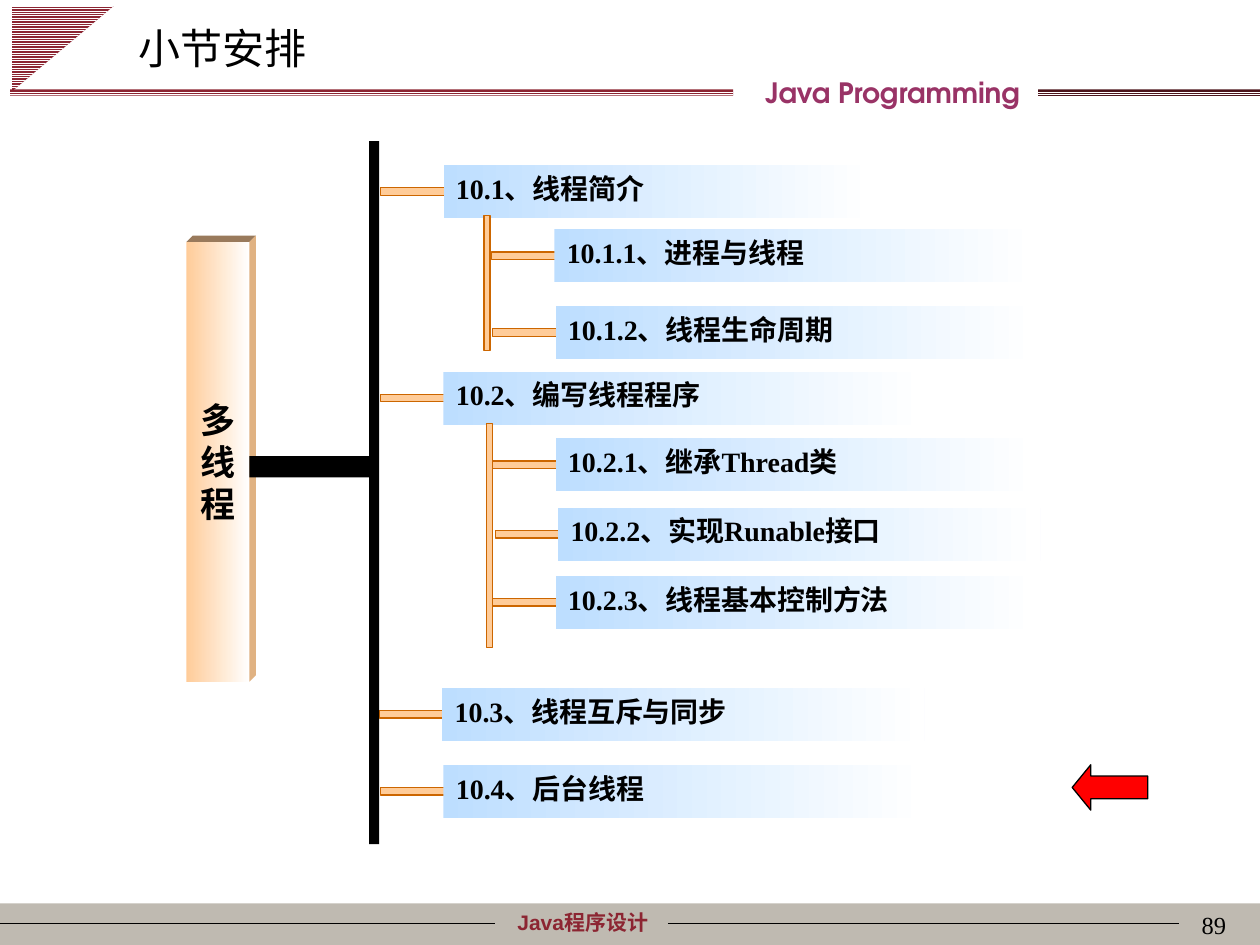
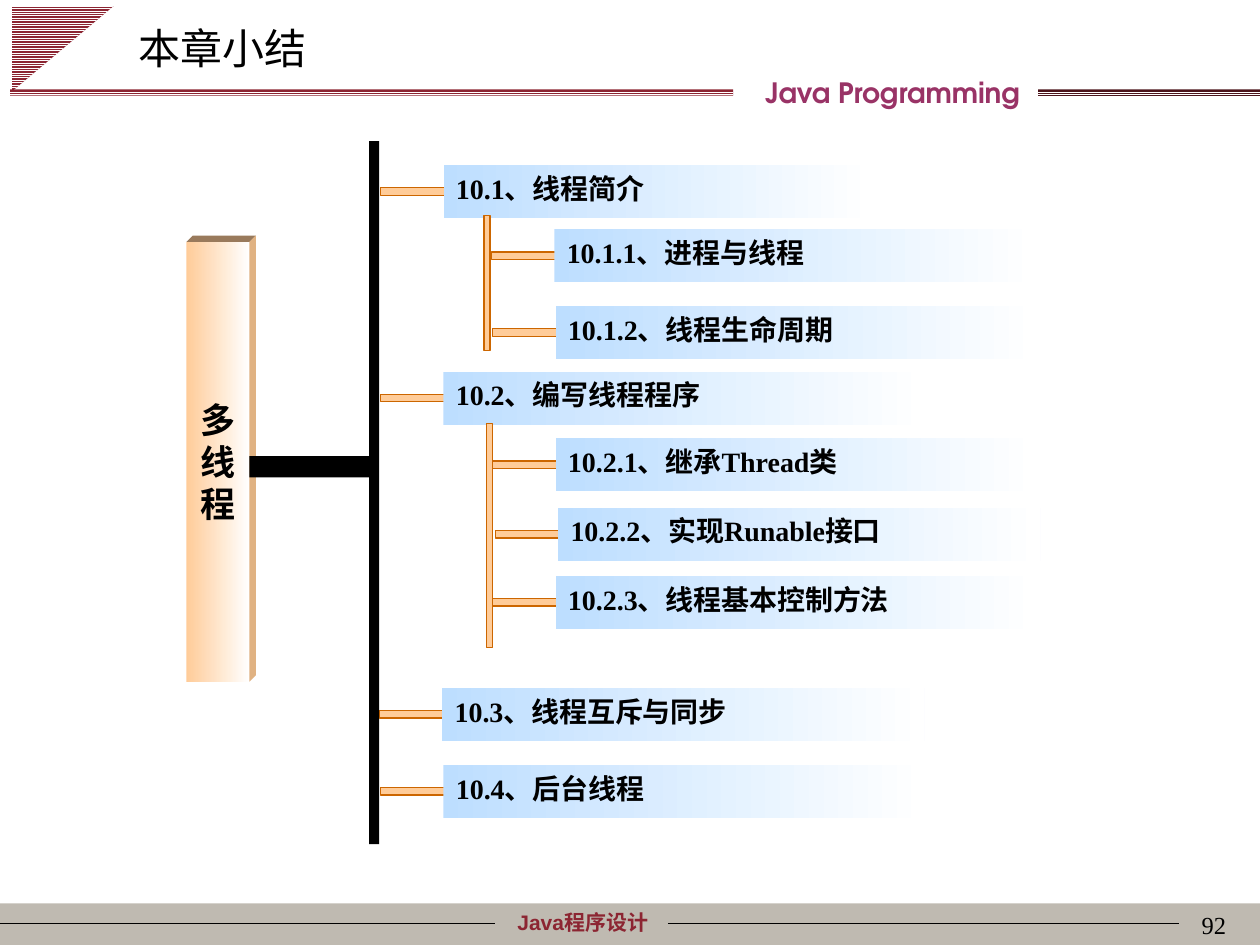
from dataclasses import dataclass

from lxml import etree
from pptx import Presentation
from pptx.dml.color import RGBColor
from pptx.enum.dml import MSO_PATTERN
from pptx.enum.shapes import MSO_CONNECTOR, MSO_SHAPE
from pptx.enum.text import MSO_ANCHOR, PP_ALIGN
from pptx.oxml.ns import qn
from pptx.util import Inches, Pt

RECTANGLE = MSO_SHAPE.RECTANGLE
RIGHT_TRIANGLE = MSO_SHAPE.RIGHT_TRIANGLE
LEFT_ARROW = MSO_SHAPE.LEFT_ARROW
STRAIGHT = MSO_CONNECTOR.STRAIGHT
STRIPES = MSO_PATTERN.LIGHT_HORIZONTAL
LEFT, CENTER, RIGHT, JUSTIFY = PP_ALIGN.LEFT, PP_ALIGN.CENTER, PP_ALIGN.RIGHT, PP_ALIGN.JUSTIFY
TOP, MIDDLE = MSO_ANCHOR.TOP, MSO_ANCHOR.MIDDLE

PAGE_WIDTH, PAGE_HEIGHT = Inches(10), Inches(7.5)
COLUMN, ROW = PAGE_WIDTH / 100, PAGE_HEIGHT / 75

BLACK, WHITE, RED = "000000", "FFFFFF", "FF0000"
MAROON, DARK_MAROON, PLUM, STONE = "8C2532", "4C141B", "993366", "BFBAB1"
PEACH, ORANGE, PEACH_TOP, PEACH_SIDE = "FFCC99", "CC6600", "997A5C", "E0B282"
SKY = "BDDEFF"
CJK_FONT, SERIF = "Noto Sans CJK SC", "Times New Roman"


@dataclass(frozen=True)
class Area:
    left: float
    top: float
    width: float
    height: float

    def frame(self) -> tuple[int, int, int, int]:
        return (round(self.left * COLUMN), round(self.top * ROW),
                round(self.width * COLUMN), round(self.height * ROW))


@dataclass(frozen=True)
class TextStyle:
    size: float
    font: str = SERIF
    color: str = BLACK
    bold: bool = True
    align: PP_ALIGN = LEFT
    anchor: MSO_ANCHOR = TOP


@dataclass(frozen=True)
class Topic:
    left: float
    top: float
    text: str
    width: float = 38.3


@dataclass(frozen=True)
class Page:
    title: str
    number: str
    marked: bool = False


TITLE_STYLE = TextStyle(24, CJK_FONT, bold=False)
COURSE_STYLE = TextStyle(16, "TeX Gyre Adventor", PLUM, align=CENTER)
FOOTER_STYLE = TextStyle(12, "Arial", MAROON, align=CENTER)
NUMBER_STYLE = TextStyle(14, bold=False, align=RIGHT)
CHAPTER_STYLE = TextStyle(20, align=CENTER, anchor=MIDDLE)
TOPIC_STYLE = TextStyle(16, align=JUSTIFY)

PAGES = [Page("小节安排", "89", marked=True), Page("本章小结", "92")]

TOPICS = [
    Topic(35.2, 13.1, "10.1、线程简介", 34.1),
    Topic(44, 18.2, "10.1.1、进程与线程"),
    Topic(44.1, 24.3, "10.1.2、线程生命周期"),
    Topic(35.2, 29.5, "10.2、编写线程程序"),
    Topic(44.1, 34.8, "10.2.1、继承Thread类"),
    Topic(44.3, 40.3, "10.2.2、实现Runable接口"),
    Topic(44.1, 45.7, "10.2.3、线程基本控制方法"),
    Topic(35.1, 54.6, "10.3、线程互斥与同步"),
    Topic(35.2, 60.7, "10.4、后台线程"),
]
TOPIC_HEIGHT = 4.2
TICK_REACH, TICK_WIDTH, TICK_HEIGHT = 5, 5.1, 0.6
SUBTOPIC_STEMS = [Area(38.4, 17.1, 0.5, 10.7), Area(38.6, 33.6, 0.5, 17.8)]

CHAPTER = Area(14.8, 19.2, 5, 34.9)
CHAPTER_DEPTH = 0.5
TRUNK_BARS = [Area(19.8, 36.2, 10, 1.7), Area(29.3, 11.2, 0.8, 55.8)]
MARKER = Area(85.1, 60.7, 6, 3.6)
STRIPED_RULES = [(Area(82.4, 7.1, 17.6, 0.6), DARK_MAROON), (Area(0.8, 7.1, 57.4, 0.5), MAROON)]
FOOTER_LINES = [(0, 39.3), (53, 93.6)]
FOOTER_LINE_TOP = 73.3


def rgb(color: str) -> RGBColor:
    return RGBColor.from_string(color)


def write(shape, text: str, style: TextStyle) -> None:
    frame = shape.text_frame
    frame.word_wrap = True
    frame.vertical_anchor = style.anchor
    paragraph = frame.paragraphs[0]
    paragraph.text = text
    paragraph.alignment = style.align
    font = paragraph.font
    font.size, font.name, font.bold = Pt(style.size), style.font, style.bold
    font.color.rgb = rgb(style.color)
    properties = paragraph._p.get_or_add_pPr().find(qn("a:defRPr"))
    etree.SubElement(properties, qn("a:ea")).set("typeface", CJK_FONT)


def add_text(page, area: Area, text: str, style: TextStyle) -> None:
    write(page.shapes.add_textbox(*area.frame()), text, style)


def add_block(page, area: Area, kind: MSO_SHAPE = RECTANGLE,
              fill: str | None = None, line: str | None = None):
    block = page.shapes.add_shape(kind, *area.frame())
    finish(block, fill, line)
    return block


def finish(shape, fill: str | None, line: str | None = None) -> None:
    shape.shadow.inherit = False
    if fill:
        shape.fill.solid()
        shape.fill.fore_color.rgb = rgb(fill)
    if line:
        shape.line.color.rgb = rgb(line)
        shape.line.width = Pt(0.75)
    else:
        shape.line.fill.background()


def add_faded(page, area: Area, color: str):
    block = add_block(page, area)
    block.fill.gradient()
    block.fill.gradient_angle = 0
    for stop, shade, position in zip(block.fill.gradient_stops, (color, WHITE), (0, 1)):
        stop.color.rgb = rgb(shade)
        stop.position = position
    return block


def add_striped(page, area: Area, color: str, kind: MSO_SHAPE = RECTANGLE):
    block = add_block(page, area, kind)
    block.fill.patterned()
    block.fill.pattern = STRIPES
    block.fill.fore_color.rgb = rgb(WHITE)
    block.fill.back_color.rgb = rgb(color)
    return block


def add_face(page, corners: list[tuple[float, float]], color: str) -> None:
    points = [(round(x * COLUMN), round(y * ROW)) for x, y in corners]
    builder = page.shapes.build_freeform(*points[0])
    builder.add_line_segments(points[1:], close=True)
    finish(builder.convert_to_shape(), color)


def add_footer_line(page, start: float, end: float) -> None:
    top = round(FOOTER_LINE_TOP * ROW)
    line = page.shapes.add_connector(STRAIGHT, round(start * COLUMN), top, round(end * COLUMN), top)
    line.line.color.rgb = rgb(BLACK)
    line.line.width = Pt(0.75)
    etree.SubElement(line._element.spPr, qn("a:effectLst"))


def add_frame(page, content: Page) -> None:
    add_block(page, Area(0, 71.7, 100, 3.3), fill=STONE)
    add_text(page, Area(36.2, 71.7, 20.1, 3), "Java程序设计", FOOTER_STYLE)
    for start, end in FOOTER_LINES:
        add_footer_line(page, start, end)
    corner = add_striped(page, Area(1.6, -0.2, 6.8, 8.1), MAROON, RIGHT_TRIANGLE)
    corner.rotation = 90
    for area, color in STRIPED_RULES:
        add_striped(page, area, color)
    add_text(page, Area(50.8, 5.5, 40.1, 3.7), "Java Programming", COURSE_STYLE)
    add_text(page, Area(77.5, 71.7, 20.8, 5), content.number, NUMBER_STYLE)
    title = page.shapes.title
    title.left, title.top, title.width, title.height = Area(10, 1.3, 28.5, 5).frame()
    write(title, content.title, TITLE_STYLE)


def add_chapter(page) -> None:
    left, top = CHAPTER.left, CHAPTER.top
    right, bottom = left + CHAPTER.width, top + CHAPTER.height
    back_right, back_top = right + CHAPTER_DEPTH, top - CHAPTER_DEPTH
    add_face(page, [(left, top), (left + CHAPTER_DEPTH, back_top),
                    (back_right, back_top), (right, top)], PEACH_TOP)
    add_face(page, [(right, top), (back_right, back_top),
                    (back_right, bottom - CHAPTER_DEPTH), (right, bottom)], PEACH_SIDE)
    write(add_faded(page, CHAPTER, PEACH), "多线程", CHAPTER_STYLE)


def add_topic(page, topic: Topic) -> None:
    tick_top = topic.top + (TOPIC_HEIGHT - TICK_HEIGHT) / 2
    tick = Area(topic.left - TICK_REACH, tick_top, TICK_WIDTH, TICK_HEIGHT)
    add_block(page, tick, fill=PEACH, line=ORANGE)
    label = add_faded(page, Area(topic.left, topic.top, topic.width, TOPIC_HEIGHT), SKY)
    write(label, topic.text, TOPIC_STYLE)


def add_outline(page) -> None:
    add_chapter(page)
    for topic in TOPICS:
        add_topic(page, topic)
    for stem in SUBTOPIC_STEMS:
        add_block(page, stem, fill=PEACH, line=ORANGE)
    for bar in TRUNK_BARS:
        add_block(page, bar, fill=BLACK)


def add_marker(page) -> None:
    arrow = add_block(page, MARKER, LEFT_ARROW, RED, BLACK)
    arrow.adjustments[0], arrow.adjustments[1] = 0.5, 0.41


def main() -> None:
    deck = Presentation()
    deck.slide_width, deck.slide_height = PAGE_WIDTH, PAGE_HEIGHT
    title_only = deck.slide_layouts[5]
    for content in PAGES:
        page = deck.slides.add_slide(title_only)
        add_frame(page, content)
        add_outline(page)
        if content.marked:
            add_marker(page)
    deck.save("out.pptx")


if __name__ == "__main__":
    main()
